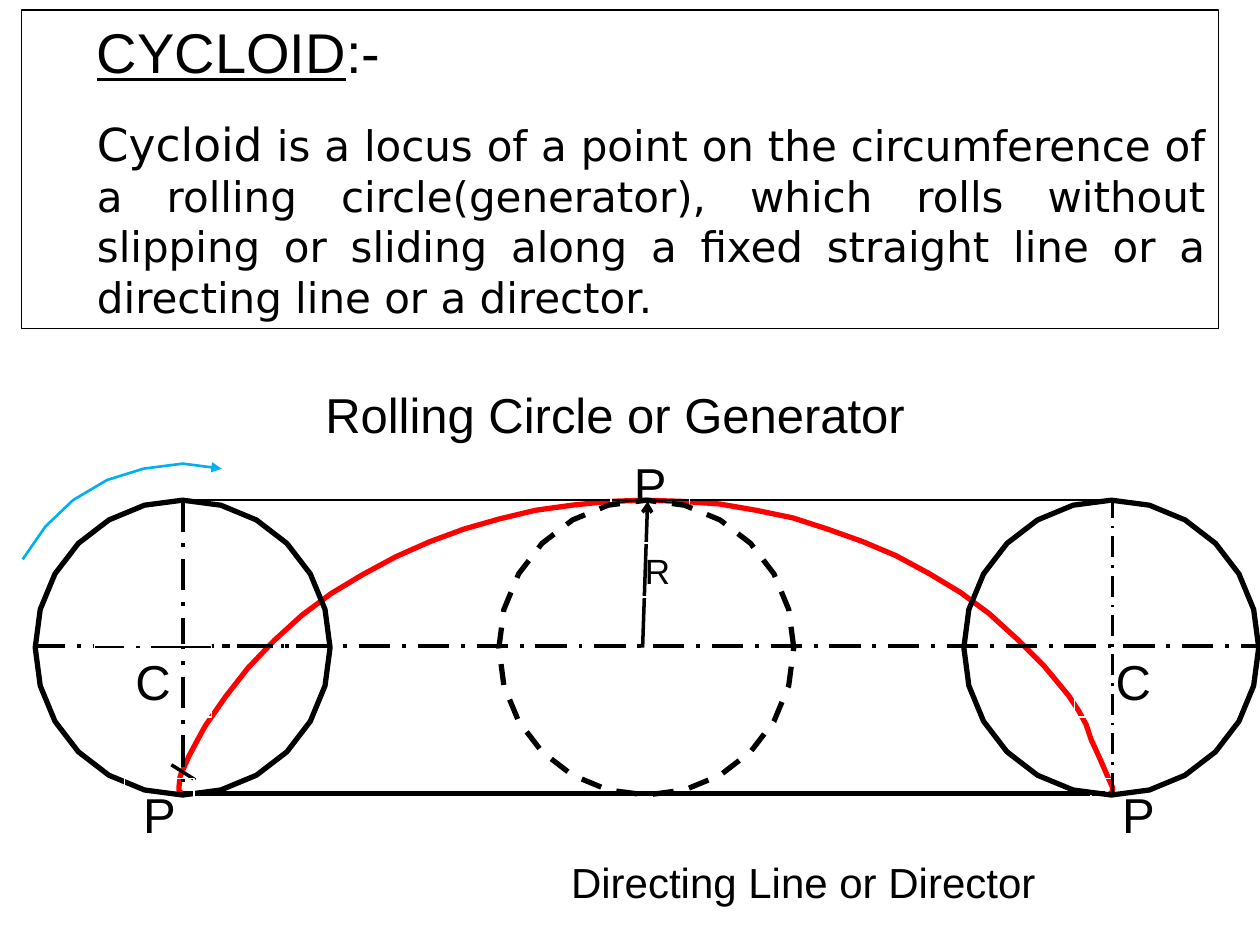
from math import cos, pi, sin

from lxml import etree
from pptx import Presentation
from pptx.dml.color import RGBColor
from pptx.enum.dml import MSO_LINE
from pptx.enum.shapes import MSO_CONNECTOR, MSO_SHAPE
from pptx.enum.text import MSO_ANCHOR, PP_ALIGN
from pptx.oxml.ns import qn
from pptx.util import Inches, Pt

COLORS = {"ink": "000000", "paper": "FFFFFF", "curve": "FF0000", "motion": "00B0F0"}

HEADING = [("CYCLOID", 32, "Arial", True), (":-", 32, "Arial", False)]
DEFINITION = [
    ("Cycloid", 26, "DejaVu Sans", False),
    (" is a locus of a point on the circumference of a rolling circle(generator), "
     "which rolls without slipping or sliding along a fixed straight line or a "
     "directing line or a director.", 24, "DejaVu Sans", False),
]

CYCLOID = [
    (1.45, 6.3), (1.42, 6.28), (1.42, 6.25), (1.43, 6.16), (1.5, 6), (1.57, 5.87),
    (1.63, 5.76), (1.79, 5.53), (1.97, 5.3), (2.18, 5.08), (2.4, 4.88), (2.63, 4.71),
    (2.88, 4.56), (3.14, 4.42), (3.41, 4.3), (3.68, 4.2), (3.96, 4.12), (4.25, 4.05),
    (4.54, 4.01), (4.83, 3.98), (5.12, 3.97), (5.42, 3.98), (5.71, 4), (6, 4.05),
    (6.29, 4.11), (6.57, 4.2), (6.85, 4.3), (7.11, 4.41), (7.37, 4.55), (7.62, 4.7),
    (7.85, 4.87), (8.07, 5.07), (8.29, 5.29), (8.48, 5.52), (8.56, 5.64), (8.62, 5.75),
    (8.66, 5.87), (8.72, 6), (8.79, 6.16), (8.83, 6.25), (8.83, 6.28), (8.81, 6.3),
]
ROLLING_ARROW = [(0.18, 4.44), (0.36, 4.18), (0.58, 3.97), (0.85, 3.81),
                 (1.14, 3.72), (1.45, 3.68), (1.76, 3.72)]
CROWN = [(5.34, 3.99), (5.08, 3.97), (4.82, 4)]

RADIUS = 1.17
CENTER_Y = 5.14
TOP_Y, BASE_Y = 3.97, 6.3
START_X, MIDDLE_X, END_X = 1.45, 5.13, 8.82
CIRCLE_SIDES = 24

presentation = Presentation()
presentation.slide_width, presentation.slide_height = Inches(10), Inches(7.5)
slide = presentation.slides.add_slide(presentation.slide_layouts[6])


def rgb(name):
    return RGBColor.from_string(COLORS[name])


def style_line(line, color, width, dash=None, arrow=None):
    line.color.rgb = rgb(color)
    line.width = Pt(width)
    if dash:
        line.dash_style = dash
    if arrow:
        etree.SubElement(line._get_or_add_ln(), qn("a:tailEnd"), type=arrow)


def trace(points, width, color="ink", dash=None, arrow=None, close=False):
    corners = [(Inches(x), Inches(y)) for x, y in points]
    builder = slide.shapes.build_freeform(*corners[0], scale=1.0)
    builder.add_line_segments(corners[1:], close=close)
    outline = builder.convert_to_shape()
    outline.shadow.inherit = False
    outline.fill.background()
    style_line(outline.line, color, width, dash, arrow)


def circle(center_x, dash=None):
    angles = [2 * pi * side / CIRCLE_SIDES for side in range(CIRCLE_SIDES)]
    trace([(center_x + RADIUS * cos(a), CENTER_Y - RADIUS * sin(a)) for a in angles],
          3, dash=dash, close=True)


def straight(x1, y1, x2, y2, width, dash=None, arrow=None):
    connector = slide.shapes.add_connector(
        MSO_CONNECTOR.STRAIGHT, Inches(x1), Inches(y1), Inches(x2), Inches(y2))
    etree.SubElement(connector._element.spPr, qn("a:effectLst"))
    style_line(connector.line, "ink", width, dash, arrow)


def box(left, top, width, height, border):
    frame_shape = slide.shapes.add_shape(
        MSO_SHAPE.RECTANGLE, Inches(left), Inches(top), Inches(width), Inches(height))
    frame_shape.shadow.inherit = False
    frame_shape.fill.background()
    style_line(frame_shape.line, border, 0.75)
    frame_shape.text_frame.word_wrap = True
    return frame_shape.text_frame


def write(paragraph, pieces, align):
    paragraph.alignment = align
    for text, size, font, underline in pieces:
        run = paragraph.add_run()
        run.text = text
        run.font.size = Pt(size)
        run.font.name = font
        run.font.underline = underline
        run.font.color.rgb = rgb("ink")


def label(text, left, top, width, height=0.57, size=28):
    frame = box(left, top, width, height, "paper")
    frame.vertical_anchor = MSO_ANCHOR.TOP
    write(frame.paragraphs[0], [(text, size, "Arial", False)], PP_ALIGN.CENTER)


def definition_box():
    frame = box(0.17, 0.08, 9.5, 2.53, "ink")
    frame.vertical_anchor = MSO_ANCHOR.MIDDLE
    frame.margin_left = Inches(0.6)
    write(frame.paragraphs[0], HEADING, PP_ALIGN.LEFT)
    definition = frame.add_paragraph()
    definition.space_before = Pt(18)
    write(definition, DEFINITION, PP_ALIGN.JUSTIFY)


AXIS = MSO_LINE.LONG_DASH_DOT

label("Rolling Circle or Generator", 2.17, 3, 5.42)
definition_box()
trace(CYCLOID, 3, "curve")
circle(START_X)
straight(START_X, BASE_Y, 8.77, BASE_Y, 3)
straight(START_X, TOP_Y, START_X, BASE_Y, 2.25, AXIS)
straight(START_X, TOP_Y, 8.83, TOP_Y, 1.5)
straight(1.36, 6.07, 1.55, 6.19, 0)
trace(ROLLING_ARROW, 1.5, "motion", arrow="triangle")
label("C", 8.53, 5.12, 0.93)
for axis_start, axis_end in [(START_X, 10), (START_X, 0.28), (2.6, 1.44)]:
    straight(axis_start, 5.13, axis_end, 5.13, 2.25, AXIS)
for left, top, width in [(0.99, 6.18, 0.55), (8.66, 6.18, 0.75), (4.85, 3.56, 0.62)]:
    label("P", left, top, width)
trace(CROWN, 0)
straight(5.1, CENTER_Y, 5.14, 3.98, 0, arrow="arrow")
label("R", 5.02, 4.31, 0.39, 0.43, 20)
straight(8.83, BASE_Y, 8.83, TOP_Y, 1.5, AXIS)
label("C", 0.75, 5.12, 0.93)
circle(MIDDLE_X, MSO_LINE.DASH)
circle(END_X)
label("Directing Line or Director", 4, 6.75, 4.75, 0.5, 24)

presentation.save("out.pptx")
